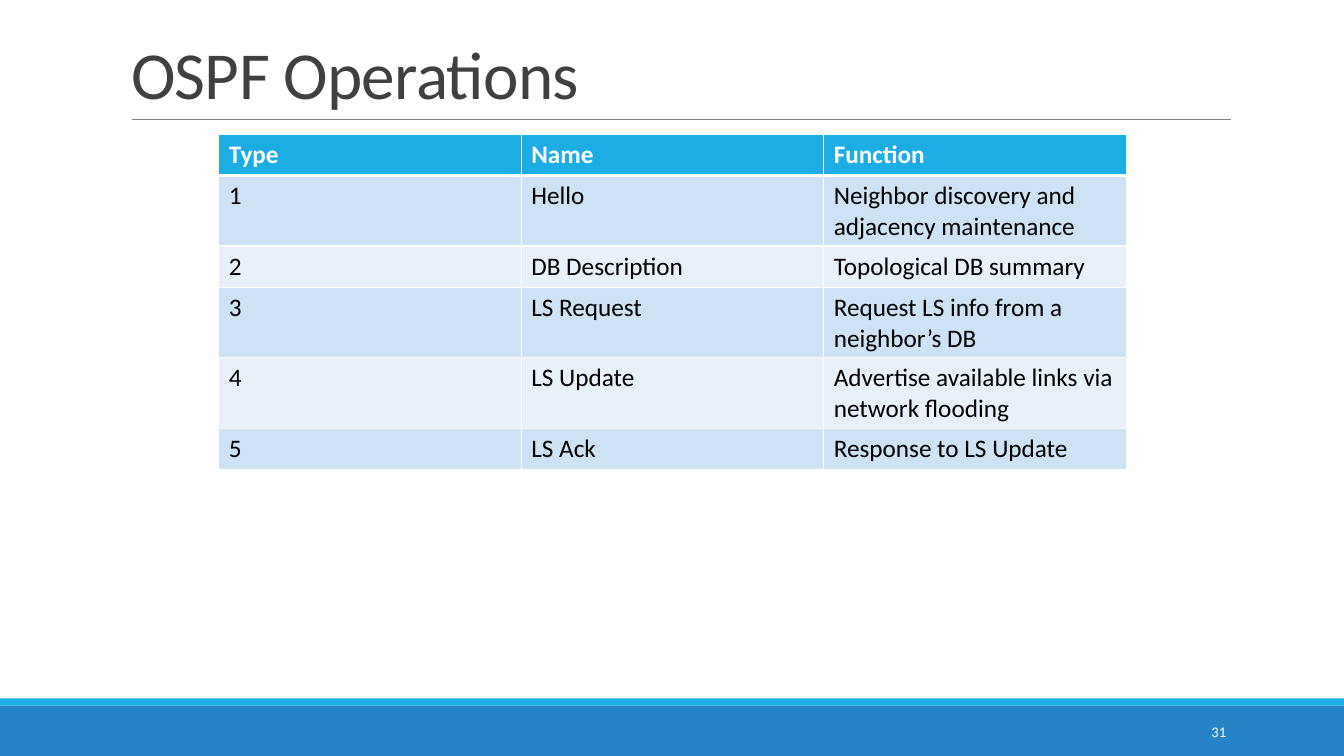
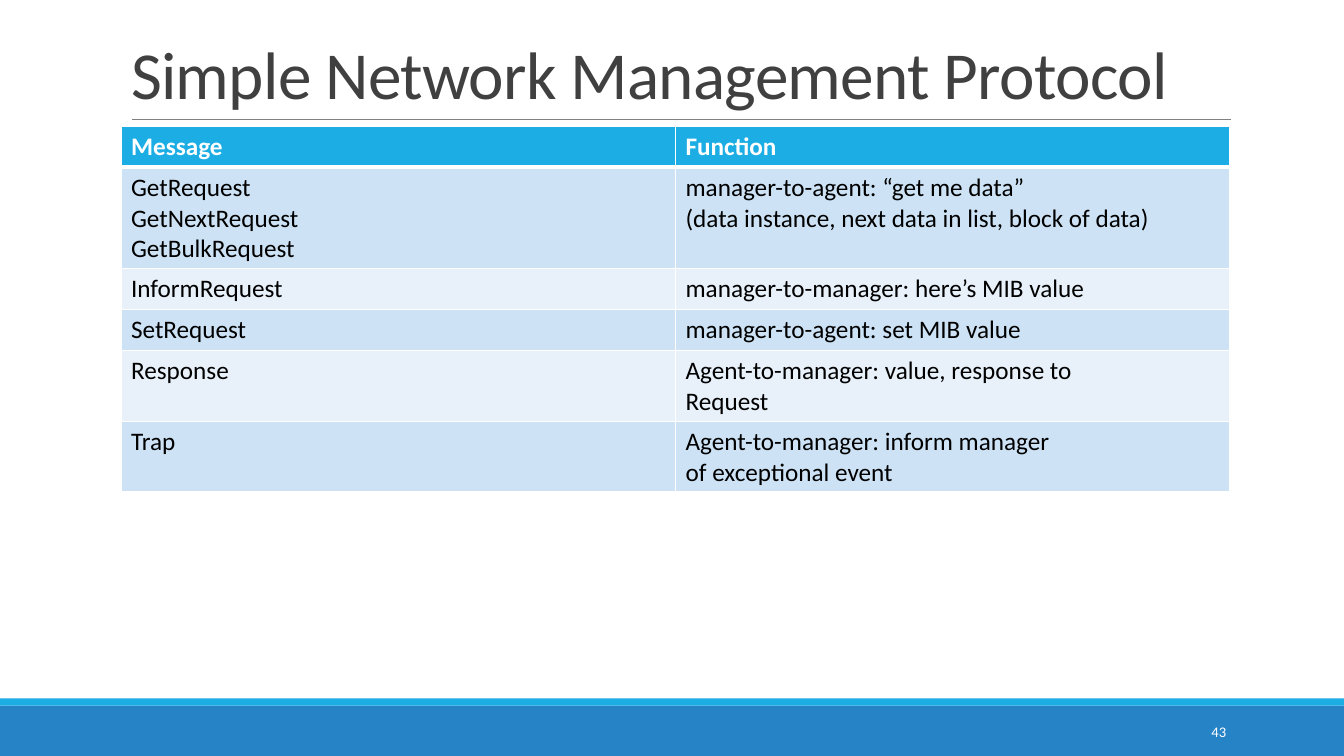
from lxml.etree import SubElement
from pptx import Presentation
from pptx.dml.color import RGBColor
from pptx.enum.shapes import MSO_CONNECTOR, MSO_SHAPE
from pptx.enum.text import MSO_ANCHOR as Anchor, PP_ALIGN as Align
from pptx.oxml.ns import qn
from pptx.util import Inches, Pt

WHITE = RGBColor(0xFF, 0xFF, 0xFF)
BLACK = RGBColor(0x00, 0x00, 0x00)
TITLE_GRAY = RGBColor(0x40, 0x40, 0x40)
RULE_GRAY = RGBColor(0x80, 0x80, 0x80)
BAND_BLUE = RGBColor(0x26, 0x83, 0xC6)
ACCENT_BLUE = RGBColor(0x1C, 0xAD, 0xE4)
ROW_DARK = RGBColor(0xCD, 0xE3, 0xF5)
ROW_LIGHT = RGBColor(0xE8, 0xF1, 0xFA)

FONT = "Calibri"
SLIDE_WIDTH, SLIDE_HEIGHT = 13.33, 7.5
ROW_HEIGHT = 0.41
TITLE_ONLY = 5


class Deck:
    """Holds the shared style and the slide being built."""

    def __init__(self):
        self.prs = Presentation()
        self.prs.slide_width = Inches(SLIDE_WIDTH)
        self.prs.slide_height = Inches(SLIDE_HEIGHT)
        self.slide = None

    def new_slide(self, title, number):
        self.slide = self.prs.slides.add_slide(self.prs.slide_layouts[TITLE_ONLY])
        self.band(7, 0.5, BAND_BLUE)
        self.band(6.93, 0.07, ACCENT_BLUE)
        self.rule()
        self.title(title)
        self.page_number(number)

    def style(self, paragraph, size, color, bold=False):
        font = paragraph.font
        font.name, font.size, font.bold = FONT, Pt(size), bold
        font.color.rgb = color

    def band(self, top, height, color):
        band = self.slide.shapes.add_shape(
            MSO_SHAPE.RECTANGLE, 0, Inches(top), Inches(SLIDE_WIDTH), Inches(height))
        band.shadow.inherit = False
        band.fill.solid()
        band.fill.fore_color.rgb = color
        band.line.fill.background()

    def rule(self):
        rule = self.slide.shapes.add_connector(
            MSO_CONNECTOR.STRAIGHT,
            Inches(1.31), Inches(1.18), Inches(12.21), Inches(1.18))
        rule.line.color.rgb = RULE_GRAY
        rule.line.width = Pt(0.5)
        SubElement(rule._element.spPr, qn("a:effectLst"))

    def title(self, text):
        title = self.slide.shapes.title
        title.left, title.top = Inches(1.2), Inches(0.31)
        title.width, title.height = Inches(11), Inches(0.86)
        frame = title.text_frame
        frame.text = text
        frame.vertical_anchor = Anchor.BOTTOM
        heading = frame.paragraphs[0]
        heading.alignment = Align.LEFT
        heading.line_spacing = 0.85
        self.style(heading, 48, TITLE_GRAY)
        # Tighten the letter spacing by half a point
        heading.runs[0]._r.get_or_add_rPr().set("spc", "-50")

    def page_number(self, number):
        box = self.slide.shapes.add_textbox(
            Inches(10.83), Inches(7.06), Inches(1.43), Inches(0.4))
        frame = box.text_frame
        frame.word_wrap = True
        frame.vertical_anchor = Anchor.MIDDLE
        frame.text = str(number)
        frame.paragraphs[0].alignment = Align.RIGHT
        self.style(frame.paragraphs[0], 10.5, WHITE)

    def table(self, left, top, column_width, rows):
        columns = len(rows[0])
        table = self.slide.shapes.add_table(
            len(rows), columns, Inches(left), Inches(top),
            Inches(column_width * columns), Inches(ROW_HEIGHT * len(rows))).table
        table.horz_banding = False
        for column in table.columns:
            column.width = Inches(column_width)
        for index, texts in enumerate(rows):
            table.rows[index].height = Inches(ROW_HEIGHT)
            for cell, text in zip(table.rows[index].cells, texts):
                self.cell(cell, text, index)

    def cell(self, cell, text, row):
        header = row == 0
        # The line between the header and the first row is thicker
        self.borders(cell, L=1, R=1, T=3 if row == 1 else 1, B=3 if header else 1)
        cell.fill.solid()
        cell.fill.fore_color.rgb = (
            ACCENT_BLUE if header else ROW_DARK if row % 2 else ROW_LIGHT)
        cell.text = text
        for paragraph in cell.text_frame.paragraphs:
            self.style(paragraph, 18, WHITE if header else BLACK, bold=header)

    def borders(self, cell, **widths):
        properties = cell._tc.get_or_add_tcPr()
        for side, width in widths.items():
            line = SubElement(properties, qn(f"a:ln{side}"), w=str(Pt(width)))
            fill = SubElement(line, qn("a:solidFill"))
            SubElement(fill, qn("a:srgbClr"), val=str(WHITE))


def main():
    deck = Deck()

    # OSPF packet types
    deck.new_slide("OSPF Operations", 31)
    deck.table(2.17, 1.33, 3, [
        ("Type", "Name", "Function"),
        ("1", "Hello", "Neighbor discovery and adjacency maintenance"),
        ("2", "DB Description", "Topological DB summary"),
        ("3", "LS Request", "Request LS info from a neighbor’s DB"),
        ("4", "LS Update", "Advertise available links via network flooding"),
        ("5", "LS Ack", "Response to LS Update"),
    ])

    # SNMP messages
    deck.new_slide("Simple Network Management Protocol", 43)
    deck.table(1.2, 1.25, 5.5, [
        ("Message", "Function"),
        ("GetRequest\nGetNextRequest\nGetBulkRequest",
         "manager-to-agent: “get me data”\n"
         "(data instance, next data in list, block of data)"),
        ("InformRequest", "manager-to-manager: here’s MIB value"),
        ("SetRequest", "manager-to-agent: set MIB value"),
        ("Response", "Agent-to-manager: value, response to\nRequest"),
        ("Trap", "Agent-to-manager: inform manager\nof exceptional event"),
    ])

    deck.prs.save("out.pptx")


if __name__ == "__main__":
    main()
